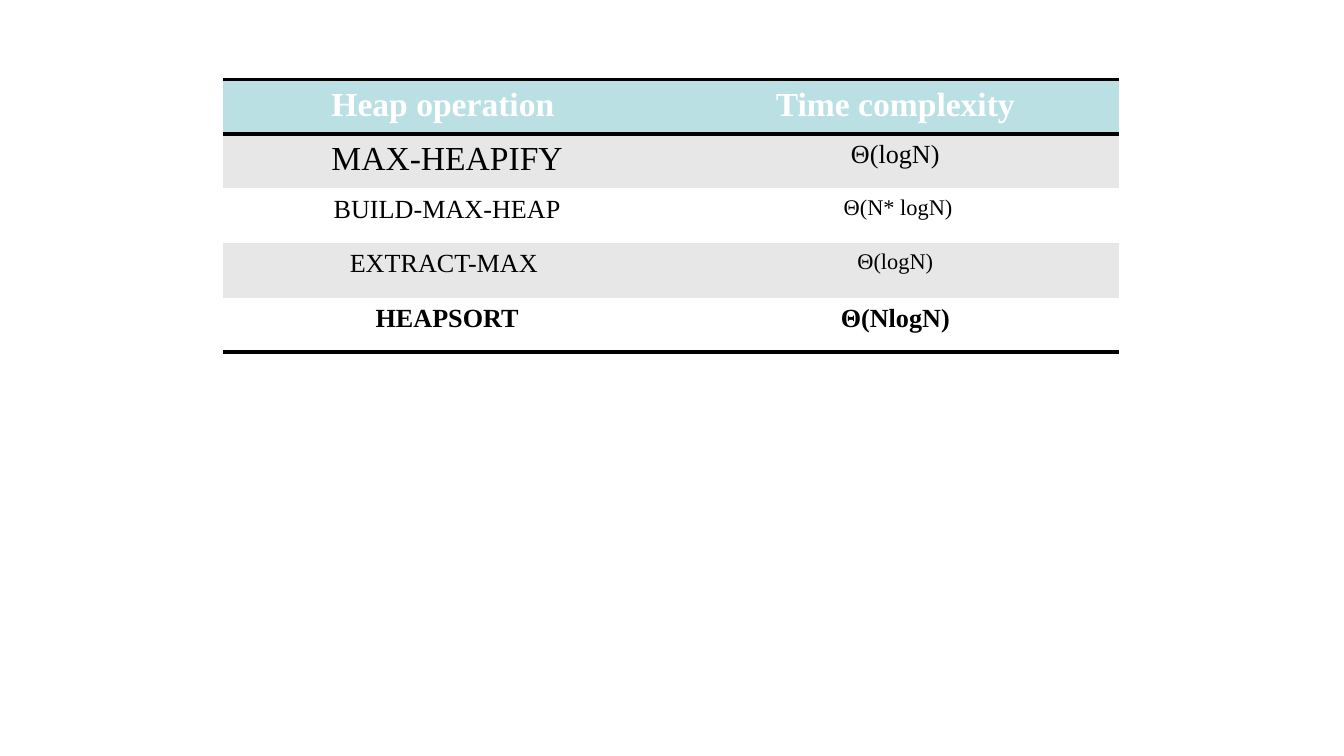
"""Build a slide with a table of heap operations and their time complexity."""
from lxml import etree
from pptx import Presentation
from pptx.dml.color import RGBColor
from pptx.enum.text import PP_ALIGN
from pptx.oxml.ns import qn
from pptx.util import Inches, Pt

CENTER = PP_ALIGN.CENTER
FONT = "Times New Roman"
PLAIN_TABLE_STYLE = "{2D5ABB26-0587-4C30-8999-92F81FD0307C}"
COLORS = {
    "header": "BBE0E3",
    "band": "E7E7E7",
    "white": "FFFFFF",
    "black": "000000",
}
ROWS = [
    [("Heap operation ", 18), ("Time complexity", 18)],
    [("MAX-HEAPIFY", 18), ("Θ(logN)", 14)],
    [("BUILD-MAX-HEAP", 14), (" Θ(N* logN)", 12)],
    [("EXTRACT-MAX ", 14), ("Θ(logN)", 12)],
    [("HEAPSORT", 14), ("Θ(NlogN)", 14)],
]
FILLS = ["header", "band", "white", "band", "white"]
LAST = len(ROWS) - 1
RULES = {0: ["a:lnT", "a:lnB"], LAST: ["a:lnB"]}


def add_rules(cell, edges):
    properties = cell._tc.get_or_add_tcPr()
    for position, edge in enumerate(edges):
        line = etree.Element(qn(edge), w=str(Pt(2)))
        fill = etree.SubElement(line, qn("a:solidFill"))
        etree.SubElement(fill, qn("a:srgbClr"), val=COLORS["black"])
        properties.insert(position, line)


deck = Presentation()
deck.slide_width = Inches(10)
deck.slide_height = deck.slide_width * 9 // 16
page = deck.slides.add_slide(deck.slide_layouts[6])

frame = page.shapes.add_table(
    len(ROWS), 2, Inches(1.66), Inches(0.59), Inches(6.67), Inches(2.03)
)
table = frame.table
table._tbl.tblPr.find(qn("a:tableStyleId")).text = PLAIN_TABLE_STYLE
table.horz_banding = False

for row_index, row in enumerate(ROWS):
    for column_index, (text, size) in enumerate(row):
        cell = table.cell(row_index, column_index)
        cell.fill.solid()
        cell.fill.fore_color.rgb = RGBColor.from_string(COLORS[FILLS[row_index]])
        add_rules(cell, RULES.get(row_index, []))
        cell.text_frame.text = text
        para = cell.text_frame.paragraphs[0]
        para.alignment = CENTER
        font = para.runs[0].font
        font.name = FONT
        font.size = Pt(size)
        font.bold = row_index in (0, LAST)
        ink = "white" if row_index == 0 else "black"
        font.color.rgb = RGBColor.from_string(COLORS[ink])

deck.save("out.pptx")
